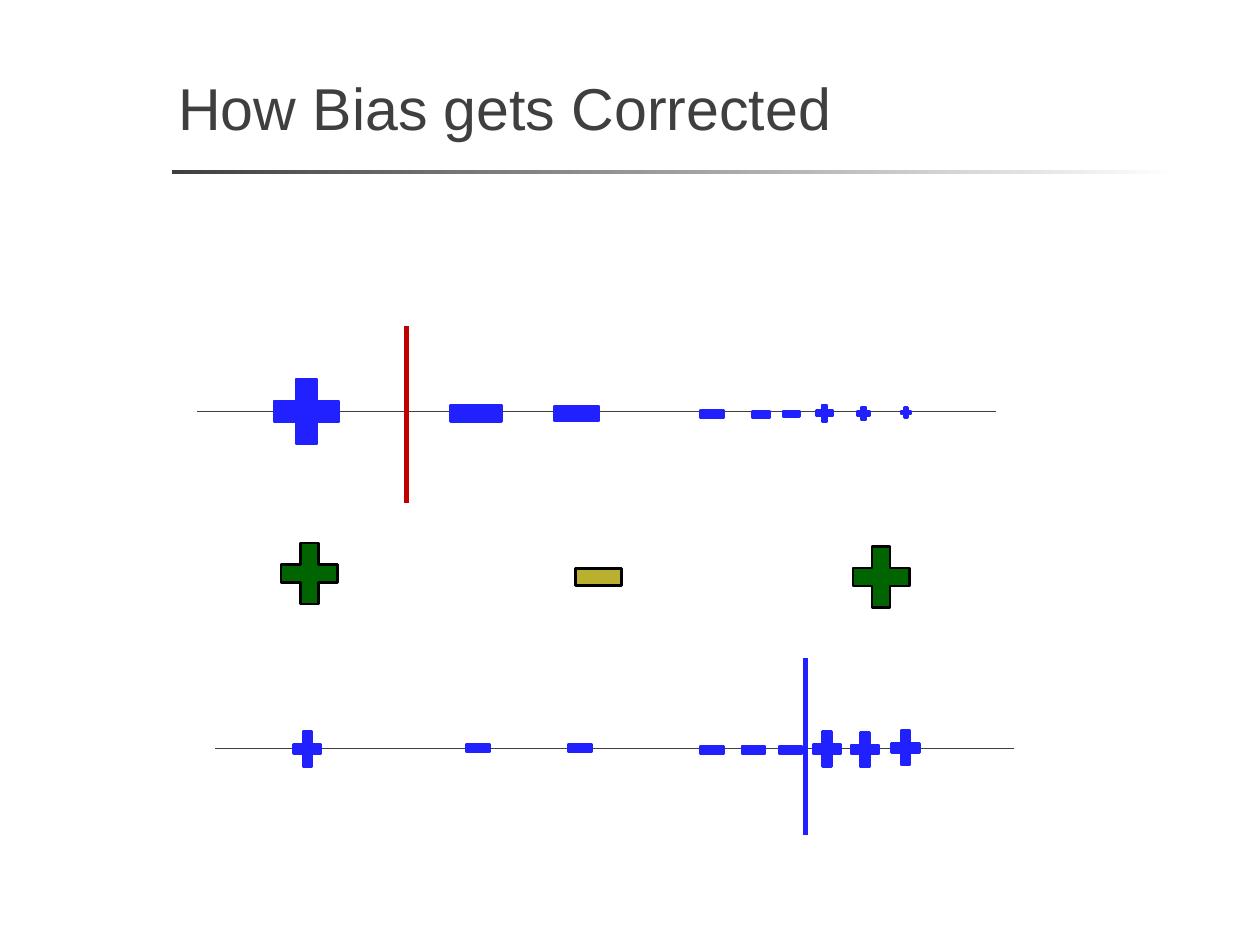
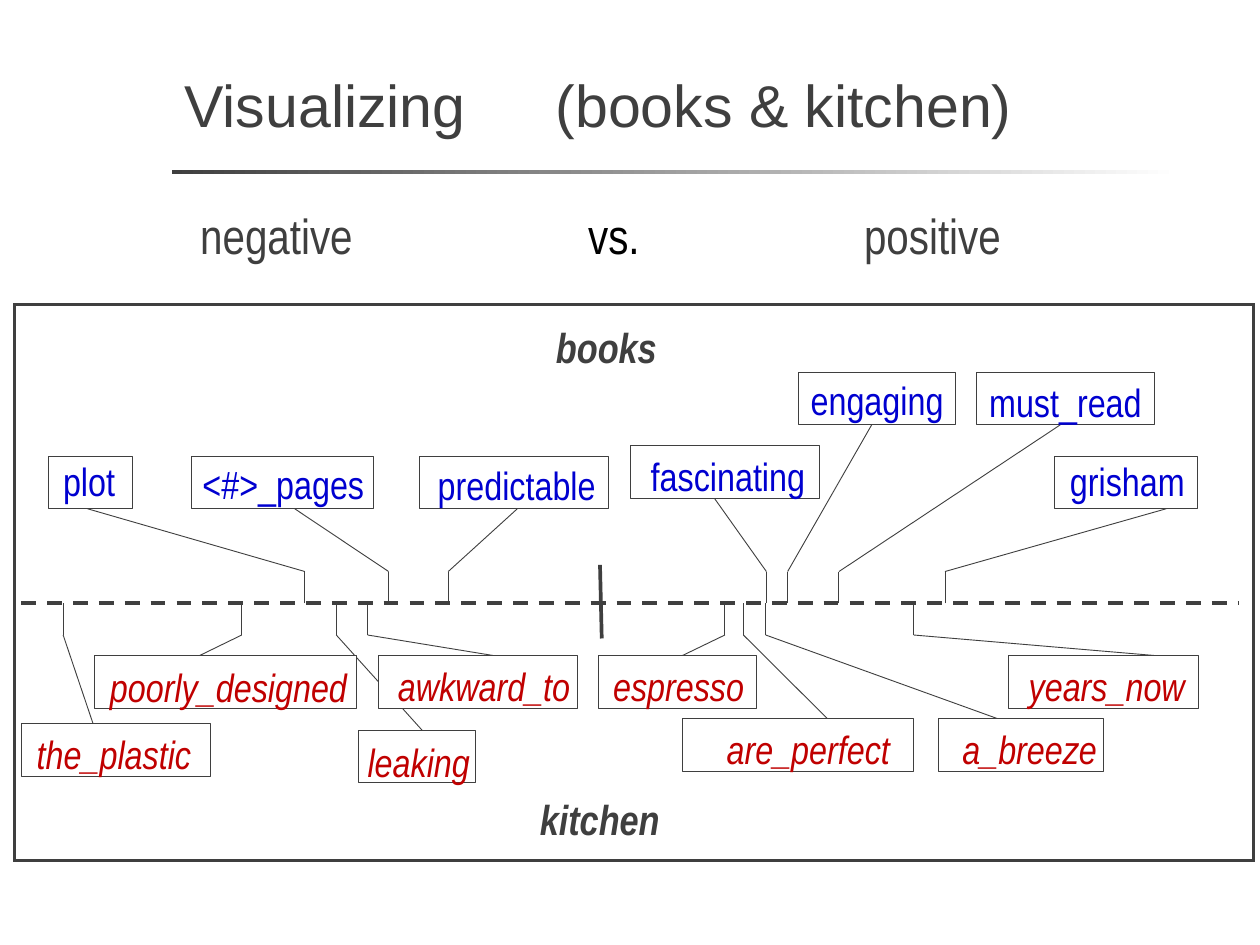
"""Two slides on bias correction: shifting feature weights, and words of two domains."""
from dataclasses import dataclass

from lxml import etree
from pptx import Presentation
from pptx.dml.color import RGBColor
from pptx.enum import dml, shapes, text
from pptx.oxml import ns
from pptx.util import Cm, Pt


@dataclass(frozen=True)
class Theme:
    ink: str = "3F3F3F"
    white: str = "FFFFFF"
    black: str = "000000"
    blue: str = "2121FF"
    green: str = "006400"
    olive: str = "BAB030"
    red: str = "C00000"
    word_blue: str = "0000D0"
    title_font: str = "Arial"
    body_font: str = "Arial Narrow"
    title_size: int = 48
    pole_size: int = 40
    domain_size: int = 34
    word_size: int = 32
    hairline: float = 0.75
    outline: float = 2
    axis: float = 3
    divider: float = 4


T = Theme()
PLUS, MINUS = shapes.MSO_SHAPE.MATH_PLUS, shapes.MSO_SHAPE.MATH_MINUS

BIAS_TITLE = ("How Bias gets Corrected", (4.75, 1.26, 29.9, 3.61), None)
WORDS_TITLE = ("Visualizing\t(books & kitchen)", (4.93, 0.71, 32.51, 4.52), 10.64)

AXES = [(5.66, 28.56, 11.81), (6.17, 29.06, 21.45)]
DIVIDERS = [(11.66, 9.35, 14.43, T.red), (23.1, 18.87, 23.95, T.blue)]

BEFORE = [
    (PLUS, 8.79, 11.8, 2.54, 2.54), (MINUS, 13.65, 11.85, 1.98, 2.03),
    (MINUS, 16.53, 11.86, 1.73, 1.78), (MINUS, 20.41, 11.87, 0.89, 0.99),
    (MINUS, 21.82, 11.89, 0.71, 0.76), (MINUS, 22.68, 11.87, 0.64, 0.64),
    (PLUS, 23.64, 11.85, 0.64, 0.64), (PLUS, 24.76, 11.86, 0.51, 0.51),
    (PLUS, 25.97, 11.83, 0.38, 0.38),
]
AFTER_SIZES = {PLUS: (1.09, 1.35), MINUS: (0.89, 0.99)}
AFTER = [
    (PLUS, 8.81, 21.48), (MINUS, 13.7, 21.45), (MINUS, 16.63, 21.45),
    (MINUS, 20.41, 21.51), (MINUS, 21.6, 21.51), (MINUS, 22.67, 21.51),
    (PLUS, 23.71, 21.48), (PLUS, 24.8, 21.5), (PLUS, 25.96, 21.45),
]
PIVOTS = [
    (PLUS, 8.87, 16.45, 2.21, 2.39, T.green),
    (MINUS, 17.16, 16.55, 1.8, 2.11, T.olive),
    (PLUS, 25.26, 16.55, 2.21, 2.39, T.green),
]

POLES = [("negative", T.ink), ("\tvs.", T.black), ("\tpositive", T.ink)]
POLE_TABS = (11.12, 19.03)
DOMAINS = [("books", (11.81, 9.04, 11.15, 1.8)), ("kitchen", (10.58, 22.58, 13.23, 1.8))]

# word, box left, box top, box width, text shift right, text shift down, stem x, box anchor x
BOOK_WORDS = [
    ("plot", 1.4, 13.08, 2.41, -0.05, -0.15, 8.74, 2.51),
    ("<#>_pages", 5.49, 13.08, 5.23, 0.02, -0.05, 11.14, 8.45),
    ("predictable", 12.03, 13.08, 5.41, 0.08, -0.03, 12.85, 14.83),
    ("fascinating", 18.06, 12.78, 5.42, 0.1, 0, 21.97, 20.48),
    ("engaging", 22.89, 10.67, 4.51, 0, -0.05, 22.58, 24.99),
    ("must_read", 27.99, 10.67, 5.11, 0, 0, 24.05, 30.4),
    ("grisham", 30.22, 13.08, 4.1, 0.05, -0.15, 27.09, 33.43),
]
KITCHEN_WORDS = [
    ("the_plastic", 0.61, 20.76, 5.42, -0.05, 0, 1.81, 2.67),
    ("poorly_designed", 2.72, 18.8, 7.51, 0.08, 0.03, 6.93, 5.72),
    ("leaking", 10.27, 20.94, 3.35, 0.06, 0.05, 9.64, 12.1),
    ("awkward_to", 10.85, 18.8, 5.72, 0.17, 0, 10.54, 14.15),
    ("espresso", 17.17, 18.8, 4.51, 0.03, 0, 20.78, 19.56),
    ("are_perfect", 19.56, 20.61, 6.63, 0.3, 0, 21.31, 23.72),
    ("a_breeze", 26.9, 20.61, 4.74, 0.25, 0, 21.95, 28.6),
    ("years_now", 28.91, 18.8, 5.46, 0.09, 0, 26.19, 33.12),
]
AXIS_Y, STEM, WORD_HEIGHT = 17.3, 0.91, 1.51


def rgb(value):
    return RGBColor.from_string(value)


def add_tabs(paragraph, stops):
    tabs = etree.SubElement(paragraph._p.get_or_add_pPr(), ns.qn("a:tabLst"))
    for stop in stops:
        etree.SubElement(tabs, ns.qn("a:tab"), pos=str(int(Cm(stop))), algn="l")


def set_font(font, family, size, color, bold=False, italic=False):
    font.name, font.size, font.bold, font.italic = family, Pt(size), bold, italic
    font.color.rgb = rgb(color)


def set_margins(frame, left=0.36, top=0.18, right=0.36, bottom=0.18):
    frame.margin_left, frame.margin_top = Cm(left), Cm(top)
    frame.margin_right, frame.margin_bottom = Cm(right), Cm(bottom)
    frame.word_wrap = True


def add_line(slide, start, end, color=T.ink, width=T.hairline, dash=None):
    line = slide.shapes.add_connector(
        shapes.MSO_CONNECTOR.STRAIGHT, *map(Cm, (*start, *end)))
    line.line.color.rgb, line.line.width = rgb(color), Pt(width)
    if dash:
        line.line.dash_style = dash
    etree.SubElement(line._element.spPr, ns.qn("a:effectLst"))


def add_block(slide, kind, box, fill, outline, width):
    block = slide.shapes.add_shape(kind, *map(Cm, box))
    block.shadow.inherit = False
    if fill:
        block.fill.solid()
        block.fill.fore_color.rgb = rgb(fill)
    else:
        block.fill.background()
    block.line.color.rgb, block.line.width = rgb(outline), Pt(width)
    return block


def add_mark(slide, sign, x, y, width, height, fill=T.blue, outline=T.blue):
    box = (x - width / 2, y - height / 2, width, height)
    add_block(slide, sign, box, fill, outline, T.outline)


def add_slide(deck, heading, box, tab):
    slide = deck.slides.add_slide(deck.slide_layouts[5])
    rule = slide.shapes.add_shape(
        shapes.MSO_SHAPE.RECTANGLE, Cm(4.93), Cm(4.88), Cm(28.88), Cm(0.11))
    rule.shadow.inherit = False
    rule.line.fill.background()
    rule.fill.gradient()
    rule.fill.gradient_angle = 0
    for stop, color in zip(rule.fill.gradient_stops, (T.ink, T.white)):
        stop.color.rgb = rgb(color)

    title = slide.shapes.title
    title.left, title.top, title.width, title.height = map(Cm, box)
    frame = title.text_frame
    frame.text = heading
    frame.auto_size = text.MSO_AUTO_SIZE.NONE
    frame.vertical_anchor = text.MSO_ANCHOR.MIDDLE
    set_margins(frame)
    paragraph = frame.paragraphs[0]
    paragraph.alignment = text.PP_ALIGN.LEFT
    if tab:
        add_tabs(paragraph, [tab])
    set_font(paragraph.font, T.title_font, T.title_size, T.ink)
    return slide


def add_poles(slide):
    poles = slide.shapes.add_textbox(Cm(5.38), Cm(5.72), Cm(28.91), Cm(2.08))
    set_margins(poles.text_frame)
    paragraph = poles.text_frame.paragraphs[0]
    add_tabs(paragraph, POLE_TABS)
    for pole, color in POLES:
        run = paragraph.add_run()
        run.text = pole
        set_font(run.font, T.body_font, T.pole_size, color)


def add_domain(slide, name, box):
    domain = slide.shapes.add_textbox(*map(Cm, box))
    set_margins(domain.text_frame)
    paragraph = domain.text_frame.paragraphs[0]
    paragraph.text, paragraph.alignment = name, text.PP_ALIGN.CENTER
    set_font(paragraph.font, T.body_font, T.domain_size, T.ink, bold=True, italic=True)


def add_leader(slide, top, stem_x, anchor_x):
    above = top < AXIS_Y
    knee = (stem_x, AXIS_Y - STEM if above else AXIS_Y + STEM)
    add_line(slide, (stem_x, AXIS_Y), knee)
    add_line(slide, knee, (anchor_x, top + WORD_HEIGHT if above else top))


def add_word(slide, word, box, shift, drop, color, italic):
    label = add_block(slide, shapes.MSO_SHAPE.RECTANGLE, box, T.white, T.ink, T.hairline)
    frame = label.text_frame
    frame.vertical_anchor = text.MSO_ANCHOR.TOP
    set_margins(frame, max(2 * shift, 0), 0.18 + drop, max(-2 * shift, 0), 0)
    paragraph = frame.paragraphs[0]
    paragraph.text, paragraph.alignment = word, text.PP_ALIGN.CENTER
    set_font(paragraph.font, T.body_font, T.word_size, color, italic=italic)


def build_bias(deck):
    slide = add_slide(deck, *BIAS_TITLE)
    for left, right, y in AXES:
        add_line(slide, (left, y), (right, y))
    for mark in BEFORE:
        add_mark(slide, *mark)
    for sign, x, y in AFTER:
        add_mark(slide, sign, x, y, *AFTER_SIZES[sign])
    for pivot in PIVOTS:
        add_mark(slide, *pivot, outline=T.black)
    for x, top, bottom, color in DIVIDERS:
        add_line(slide, (x, top), (x, bottom), color, T.divider)


def build_words(deck):
    slide = add_slide(deck, *WORDS_TITLE)
    add_poles(slide)
    border = add_block(slide, shapes.MSO_SHAPE.RECTANGLE, (0.41, 8.73, 35.53, 15.95),
                       None, T.ink, T.outline)
    etree.SubElement(border.line._ln, ns.qn("a:miter"), lim="800000")
    add_line(slide, (0.61, AXIS_Y), (35.53, AXIS_Y), width=T.axis, dash=dml.MSO_LINE.DASH)
    add_line(slide, (17.2, 16.2), (17.25, 18.31), width=T.axis)
    for _, _, top, _, _, _, stem_x, anchor_x in BOOK_WORDS + KITCHEN_WORDS:
        add_leader(slide, top, stem_x, anchor_x)
    for words, color, italic in ((BOOK_WORDS, T.word_blue, False), (KITCHEN_WORDS, T.red, True)):
        for word, left, top, width, shift, drop, _, _ in words:
            add_word(slide, word, (left, top, width, WORD_HEIGHT), shift, drop, color, italic)
    for domain in DOMAINS:
        add_domain(slide, *domain)


def main():
    deck = Presentation()
    deck.slide_width, deck.slide_height = Cm(36.12), Cm(27.1)
    build_bias(deck)
    build_words(deck)
    deck.save("out.pptx")


if __name__ == "__main__":
    main()
